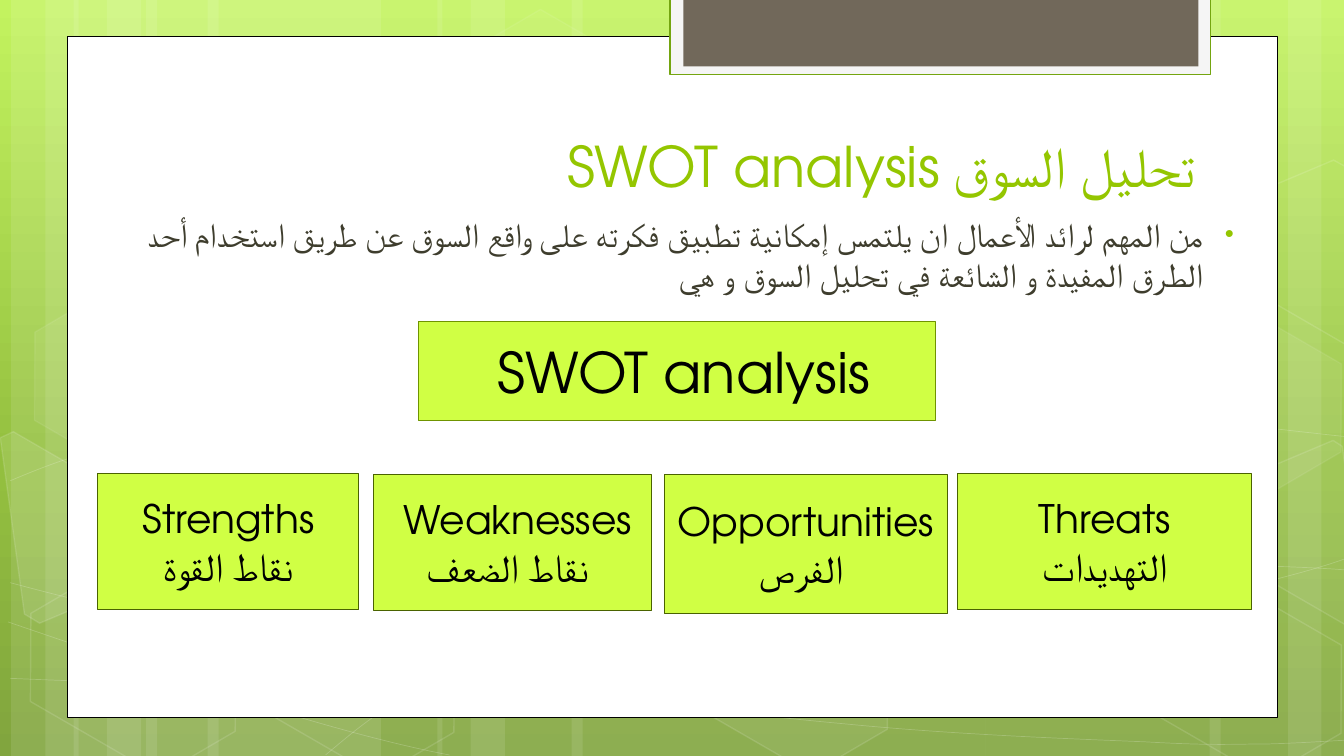
"""Build the SWOT analysis slide with its green layered backdrop."""
from copy import deepcopy
from math import cos, radians, sin

from lxml import etree
from pptx import Presentation
from pptx.dml.color import RGBColor
from pptx.enum.shapes import MSO_SHAPE
from pptx.enum.text import MSO_ANCHOR, MSO_AUTO_SIZE, PP_ALIGN
from pptx.oxml.ns import qn
from pptx.util import Inches, Pt

RECT, HEXAGON = MSO_SHAPE.RECTANGLE, MSO_SHAPE.HEXAGON
RIGHT, CENTER = PP_ALIGN.RIGHT, PP_ALIGN.CENTER
TOP, MIDDLE, BOTTOM = MSO_ANCHOR.TOP, MSO_ANCHOR.MIDDLE, MSO_ANCHOR.BOTTOM

THEME = {
    "font": "TeX Gyre Adventor",
    "heading": 40, "label": 28, "body": 24,
    "white": "FFFFFF", "black": "000000", "green": "94C600", "olive": "3E3D2D",
    "lime": "D0FF44", "lime_edge": "6F9400", "box_edge": "4A6300",
    "tab": "F5F5F5", "tab_edge": "74A510", "brown": "71685A",
    "backdrop": [(0, "C3F35F"), (0.62, "93BF3F"), (1, "81A53E")],
}


def paint(shape, fill=None, line=None, width=1, fill_alpha=100, line_alpha=100):
    """Set fill, outline and opacity in percent."""
    shape.shadow.inherit = False
    shape.line.width = Pt(width)
    for target, color, alpha, tag in (
            (shape.fill, fill, fill_alpha, "a:solidFill"),
            (shape.line.fill, line, line_alpha, "a:ln/a:solidFill")):
        if color is None:
            target.background()
            continue
        target.solid()
        target.fore_color.rgb = RGBColor.from_string(THEME[color])
        if alpha < 100:
            steps = "/".join(qn(t) for t in tag.split("/"))
            solid = shape.element.spPr.find(steps)
            etree.SubElement(solid[0], qn("a:alpha"), val=str(alpha * 1000))


def write(shape, text, size, color, align, anchor):
    """Fill a shape with right-to-left paragraphs."""
    tf = shape.text_frame
    tf.text = text
    tf.word_wrap = True
    tf.auto_size = MSO_AUTO_SIZE.NONE
    tf.vertical_anchor = anchor
    for p in tf.paragraphs:
        p.alignment = align
        p._p.get_or_add_pPr().set("rtl", "1")
        for r in p.runs:
            r.font.name = THEME["font"]
            r.font.size = Pt(THEME[size])
            r.font.color.rgb = RGBColor.from_string(THEME[color])


prs = Presentation()
prs.slide_width, prs.slide_height = Inches(40 / 3), Inches(7.5)
s = prs.slides.add_slide(prs.slide_layouts[1])

backdrop = s.background.fill
backdrop.gradient()
backdrop.gradient_angle = 270
stop_list = next(s.element.iter(qn("a:gsLst")))
stop_list.append(deepcopy(stop_list[0]))
for stop, (position, color) in zip(backdrop.gradient_stops, THEME["backdrop"]):
    stop.position = position
    stop.color.rgb = RGBColor.from_string(color)

BARS = [(1.45, 2.33), (0.11, 0.67), (0.45, 1.11), (2.06, 2.33), (0.73, 0.67),
        (1.06, 1.11), (9.78, 2.33), (12.78, 0.67), (12, 1.11), (5.67, 4.11),
        (4.34, 0.67), (4.67, 1.11)]
for x, w in BARS:
    bar = s.shapes.add_shape(RECT, Inches(x), 0, Inches(w), prs.slide_height)
    paint(bar, "white", fill_alpha=10)

WAVES = [
    [(0.1, 6.73), (0.82, 6.76), (1.54, 6.79), (2.54, 6.78), (3.54, 6.77),
     (4.77, 6.75), (6.1, 6.65), (7.44, 6.55), (9.33, 6.36), (10.55, 6.17),
     (11.78, 5.98), (13.03, 5.68), (13.43, 5.51)],
    [(0.1, 4.77), (0.48, 4.61), (0.86, 4.46), (1.62, 4.31), (2.38, 4.16),
     (3.45, 3.94), (4.63, 3.87), (5.82, 3.8), (7.25, 3.79), (8.72, 3.87),
     (10.19, 3.95), (12.63, 4.26), (13.43, 4.34)],
    [(0.08, 6.17), (1.69, 6.72), (3.3, 7.27), (4.46, 7.49)],
    [(0.1, 5.78), (0.51, 5.89), (0.93, 6), (1.71, 6.16), (2.48, 6.31),
     (3.64, 6.56), (4.75, 6.73), (5.86, 6.9), (7.27, 7.08), (8.37, 7.18),
     (9.48, 7.29), (10.66, 7.33), (11.37, 7.36), (12.07, 7.4), (12.25, 7.38),
     (12.6, 7.38), (12.94, 7.37), (13.19, 7.35), (13.43, 7.34)],
    [(3.23, 7.49), (3.47, 7.29), (3.7, 7.09), (4.03, 6.91), (4.35, 6.73),
     (4.8, 6.53), (5.17, 6.39), (5.54, 6.25), (5.77, 6.19), (6.26, 6.09),
     (6.75, 5.99), (7.65, 5.85), (8.11, 5.78), (8.58, 5.71), (8.65, 5.71),
     (9.07, 5.69), (9.48, 5.66), (10.13, 5.63), (10.59, 5.62), (11.05, 5.61),
     (11.82, 5.62), (11.82, 5.62), (12.1, 5.62), (12.4, 5.62), (12.7, 5.62),
     (12.95, 5.63), (13.17, 5.64), (13.29, 5.65), (13.41, 5.66),
     (13.37, 5.65), (13.41, 5.66)],
]
for wave in WAVES:
    points = [(Inches(x), Inches(y)) for x, y in wave]
    outline = s.shapes.build_freeform(*points[0])
    outline.add_line_segments(points[1:], close=False)
    curve = outline.convert_to_shape()
    segments = list(curve.element.iter(qn("a:lnTo")))
    for i in range(0, len(segments), 3):
        bezier = etree.SubElement(segments[i].getparent(), qn("a:cubicBezTo"))
        for segment in segments[i:i + 3]:
            bezier.append(segment[0])
            segment.getparent().remove(segment)
    paint(curve, line="white", width=0.5, line_alpha=20)

HEXAGONS = [(4.45, 0.36, 4, 8), (6.62, 5.89, 6, 12), (0.15, 5.91, 0, 12),
            (0.19, 3.12, 7, 8), (2.32, 5.92, 0, 12), (11.12, 5.93, 0, 12),
            (11.12, 3.14, 7, 8)]
TILT = 30
for x, y, fill_alpha, line_alpha in HEXAGONS:
    cell = s.shapes.add_shape(HEXAGON, Inches(x), Inches(y), Inches(2.34), Inches(1.52))
    cell.rotation = TILT
    cell.adjustments[0] = 0.285
    paint(cell, "white" if fill_alpha else None, "white", 1, fill_alpha, line_alpha)

CUT_HEXAGONS = [
    (10, 0.48, 5.35, [(0, 4.34), (0.13, 4.28), (1.15, 4.87), (1.27, 5.81),
                      (0.39, 6.18), (0.24, 6.09)]),
    (4, 13.13, 5.2, [(12.35, 4.74), (13.23, 4.37), (13.32, 4.43), (13.57, 6.25),
                     (13.49, 6.28), (12.47, 5.69)]),
    (0, 13.13, 2.41, [(12.35, 1.96), (13.23, 1.59), (13.34, 1.65), (13.57, 3.46),
                      (13.49, 3.5), (12.47, 2.91)]),
]
c, d = cos(radians(TILT)), sin(radians(TILT))
for fill_alpha, cx, cy, corners in CUT_HEXAGONS:
    points = [(Inches(cx + (x - cx) * c + (y - cy) * d),
               Inches(cy - (x - cx) * d + (y - cy) * c)) for x, y in corners]
    outline = s.shapes.build_freeform(*points[0])
    outline.add_line_segments(points[1:], close=True)
    cut = outline.convert_to_shape()
    cut.rotation = TILT
    paint(cut, "white" if fill_alpha else None, "white", 1, fill_alpha, 12)

PANELS = [(0.67, 0.36, 12, 6.76, "white", "black", 0.5),
          (6.65, -0.02, 5.36, 0.76, "tab", "tab_edge", 1.25),
          (6.78, -0.02, 5.11, 0.68, "brown", None, 1)]
for x, y, w, h, fill, line, width in PANELS:
    panel = s.shapes.add_shape(RECT, Inches(x), Inches(y), Inches(w), Inches(h))
    paint(panel, fill, line, width)

title, body = s.shapes.title, s.placeholders[1]
for holder, x, y, w, h in ((title, 1.72, 0.77, 10.24, 1.25), (body, 0.92, 2.07, 11.5, 4.76)):
    holder.left, holder.top = Inches(x), Inches(y)
    holder.width, holder.height = Inches(w), Inches(h)
    holder.element.getparent().append(holder.element)
write(title, "تحليل السوق SWOT analysis ", "heading", "green", RIGHT, BOTTOM)
write(body, "من المهم لرائد الأعمال ان يلتمس إمكانية تطبيق فكرته على واقع السوق عن طريق "
      "استخدام أحد الطرق المفيدة و الشائعة في تحليل السوق و هي ",
      "body", "olive", RIGHT, TOP)
pPr = body.text_frame.paragraphs[0]._p.get_or_add_pPr()
pPr.set("marL", str(Inches(0.38)))
pPr.set("indent", str(Inches(-0.3)))
bullet_color = etree.SubElement(pPr, qn("a:buClr"))
etree.SubElement(bullet_color, qn("a:srgbClr"), val=THEME["green"])
etree.SubElement(pPr, qn("a:buSzPct"), val="76000")
etree.SubElement(pPr, qn("a:buFont"), typeface="Arial")
etree.SubElement(pPr, qn("a:buChar"), char="•")

BOXES = [(4.15, 3.19, 5.13, 0.98, "lime_edge", "heading", "SWOT analysis "),
         (9.5, 4.7, 2.92, 1.35, "box_edge", "label", "Threats\nالتهديدات"),
         (6.59, 4.71, 2.81, 1.38, "box_edge", "label", "Opportunities \n الفرص"),
         (3.71, 4.71, 2.75, 1.35, "box_edge", "label", "Weaknesses \n نقاط الضعف"),
         (0.97, 4.7, 2.59, 1.35, "box_edge", "label", "Strengths\nنقاط القوة")]
for x, y, w, h, edge, size, text in BOXES:
    box = s.shapes.add_shape(RECT, Inches(x), Inches(y), Inches(w), Inches(h))
    paint(box, "lime", edge, 0.75)
    write(box, text, size, "black", CENTER, MIDDLE)

prs.save("out.pptx")
